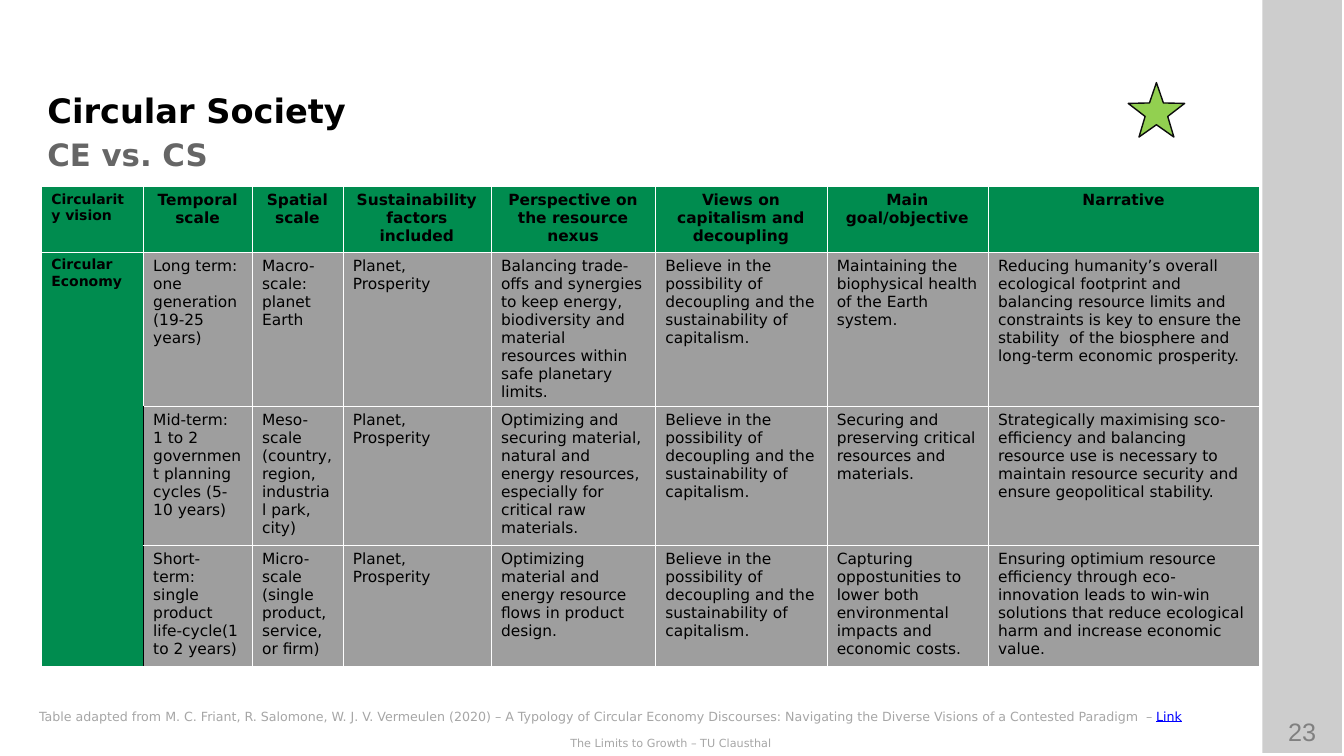
from dataclasses import dataclass

from lxml.etree import SubElement
from pptx import Presentation
from pptx.dml.color import RGBColor
from pptx.enum.shapes import MSO_SHAPE as Preset
from pptx.enum.text import MSO_ANCHOR as Anchor, MSO_AUTO_SIZE as AutoSize, PP_ALIGN as Align
from pptx.oxml.ns import qn
from pptx.util import Inches, Pt

COLORS = {
    "black": "000000", "white": "FFFFFF", "green": "008C4F", "gray": "9E9E9E",
    "subtitle": "666666", "number": "808080", "footer": "A6A6A6", "link": "0000FF",
    "star": "92D050", "outline": "0D0D0D",
}
FONT = "DejaVu Sans"
COLUMN_WIDTHS = [1.01, 1.08, 0.9, 1.47, 1.63, 1.7, 1.6, 2.69]
ROW_HEIGHTS = [0.65, 1.38, 1.38, 1.2]
FACTORS = "Planet, Prosperity"
BELIEF = "Believe in the possibility of decoupling and the sustainability of capitalism."
ROWS = [
    ["Circularity vision", "Temporal scale", "Spatial scale", "Sustainability factors included",
     "Perspective on the resource nexus", "Views on capitalism and decoupling",
     "Main goal/objective", "Narrative"],
    ["Circular Economy", "Long term: one generation (19-25 years)", "Macro-scale: planet Earth",
     FACTORS,
     "Balancing trade-offs and synergies to keep energy, biodiversity and material resources "
     "within safe planetary limits.",
     BELIEF, "Maintaining the biophysical health of the Earth system.",
     "Reducing humanity’s overall ecological footprint and balancing resource limits and "
     "constraints is key to ensure the stability  of the biosphere and long-term economic "
     "prosperity."],
    ["", "Mid-term: 1 to 2 government planning cycles (5-10 years)",
     "Meso-scale (country, region, industrial park, city)", FACTORS,
     "Optimizing and securing material, natural and energy resources, especially for critical "
     "raw materials.",
     BELIEF, "Securing and preserving critical resources and materials.",
     "Strategically maximising sco-efficiency and balancing resource use is necessary to "
     "maintain resource security and ensure geopolitical stability."],
    ["", "Short-term: single product life-cycle(1 to 2 years)",
     "Micro-scale (single product, service, or firm)", FACTORS,
     "Optimizing material and energy resource flows in product design.",
     BELIEF, "Capturing oppostunities to lower both environmental impacts and economic costs.",
     "Ensuring optimium resource efficiency through eco-innovation leads to win-win solutions "
     "that reduce ecological harm and increase economic value."],
]


@dataclass
class TextRun:
    text: str
    size: float
    color: str = "black"
    bold: bool = False
    underline: bool = False
    font: str = FONT


@dataclass
class TextBox:
    box: tuple[float, float, float, float]
    runs: list[TextRun]
    align: Align = Align.LEFT
    anchor: Anchor = Anchor.TOP
    margins: tuple[float, float] = (0.1, 0.05)


TITLE = TextBox((0.37, 0.84, 11.74, 0.53), [TextRun("Circular Society", 24, bold=True)])
TEXT_BOXES = [
    TextBox((12.51, 7.06, 0.81, 0.4), [TextRun("23", 18, "number", font="Arial")], Align.CENTER),
    TextBox((0, 7.26, 13.31, 0.23),
            [TextRun("The Limits to Growth – TU Clausthal", 8, "footer")], Align.CENTER),
    TextBox((0.47, 1.26, 11.31, 0.53), [TextRun("CE vs. CS", 22, "subtitle", bold=True)],
            anchor=Anchor.MIDDLE, margins=(0, 0)),
    TextBox((0.29, 6.98, 11.8, 0.25), [
        TextRun("Table adapted from M. C. Friant, R. Salomone, W. J. V. Vermeulen (2020) – "
                "A Typology of Circular Economy Discourses: Navigating the Diverse Visions of a "
                "Contested Paradigm  – ", 9, "footer"),
        TextRun("Link", 9, "link", underline=True)]),
]


def rgb(name: str) -> RGBColor:
    return RGBColor.from_string(COLORS[name])


def write_runs(paragraph, runs: list[TextRun], align: Align) -> None:
    paragraph.alignment = align
    for item in runs:
        run = paragraph.add_run()
        run.text = item.text
        run.font.name = item.font
        run.font.size = Pt(item.size)
        run.font.bold = item.bold
        run.font.underline = item.underline
        run.font.color.rgb = rgb(item.color)


def fill_text_box(shape, content: TextBox) -> None:
    shape.left, shape.top, shape.width, shape.height = map(Inches, content.box)
    frame = shape.text_frame
    frame.word_wrap = True
    frame.auto_size = AutoSize.NONE
    frame.vertical_anchor = content.anchor
    frame.margin_left = frame.margin_right = Inches(content.margins[0])
    frame.margin_top = frame.margin_bottom = Inches(content.margins[1])
    write_runs(frame.paragraphs[0], content.runs, content.align)


def add_side_band(slide) -> None:
    """Stack two faint black layers along the right edge."""
    for _ in range(2):
        band = slide.shapes.add_shape(
            Preset.RECTANGLE, Inches(12.52), 0, Inches(0.79), Inches(7.47))
        band.shadow.inherit = False
        band.line.fill.background()
        band.fill.solid()
        band.fill.fore_color.rgb = rgb("black")
        color = band.fill._xPr.find(qn("a:solidFill"))[0]
        SubElement(color, qn("a:alpha"), val="10000")


def set_borders(cell, dark_side: str) -> None:
    """Give hairline white borders, with a heavier black one on dark_side."""
    properties = cell._tc.get_or_add_tcPr()
    for side in "LRTB":
        dark = side == dark_side
        line = SubElement(properties, qn(f"a:ln{side}"), w=str(Pt(0.96 if dark else 0.06)))
        fill = SubElement(line, qn("a:solidFill"))
        SubElement(fill, qn("a:srgbClr"), val=COLORS["black" if dark else "white"])


def add_comparison_table(slide) -> None:
    table = slide.shapes.add_table(
        len(ROW_HEIGHTS), len(COLUMN_WIDTHS), Inches(0.41), Inches(1.85),
        Inches(sum(COLUMN_WIDTHS)), Inches(sum(ROW_HEIGHTS))).table
    table.first_row = table.horz_banding = False
    for column, width in zip(table.columns, COLUMN_WIDTHS):
        column.width = Inches(width)
    for row, height in zip(table.rows, ROW_HEIGHTS):
        row.height = Inches(height)
    table.cell(1, 0).merge(table.cell(3, 0))
    for row_index, texts in enumerate(ROWS):
        for column_index, text in enumerate(texts):
            cell = table.cell(row_index, column_index)
            is_label = column_index == 0
            is_heading = row_index == 0 or is_label
            dark_side = {0: "R", 1: "L"}.get(column_index, "") if row_index > 1 else ""
            set_borders(cell, dark_side)
            cell.fill.solid()
            cell.fill.fore_color.rgb = rgb("green" if is_heading else "gray")
            if text:
                centered = row_index == 0 and not is_label
                write_runs(cell.text_frame.paragraphs[0],
                           [TextRun(text, 10 if is_label else 11, bold=is_heading)],
                           Align.CENTER if centered else Align.LEFT)


def add_star(slide) -> None:
    star = slide.shapes.add_shape(
        Preset.STAR_5_POINT, Inches(11.19), Inches(0.82), Inches(0.56), Inches(0.54))
    star.adjustments[0] = 0.2
    star.shadow.inherit = False
    star.fill.solid()
    star.fill.fore_color.rgb = rgb("star")
    star.line.color.rgb = rgb("outline")
    star.line.width = Pt(1)


def main() -> None:
    presentation = Presentation()
    presentation.slide_width = Inches(13.33)
    presentation.slide_height = Inches(7.5)
    slide = presentation.slides.add_slide(presentation.slide_layouts.get_by_name("Title Only"))
    add_side_band(slide)
    fill_text_box(slide.shapes.title, TITLE)
    for content in TEXT_BOXES:
        fill_text_box(slide.shapes.add_textbox(0, 0, 0, 0), content)
    add_comparison_table(slide)
    add_star(slide)
    presentation.save("out.pptx")


if __name__ == "__main__":
    main()
